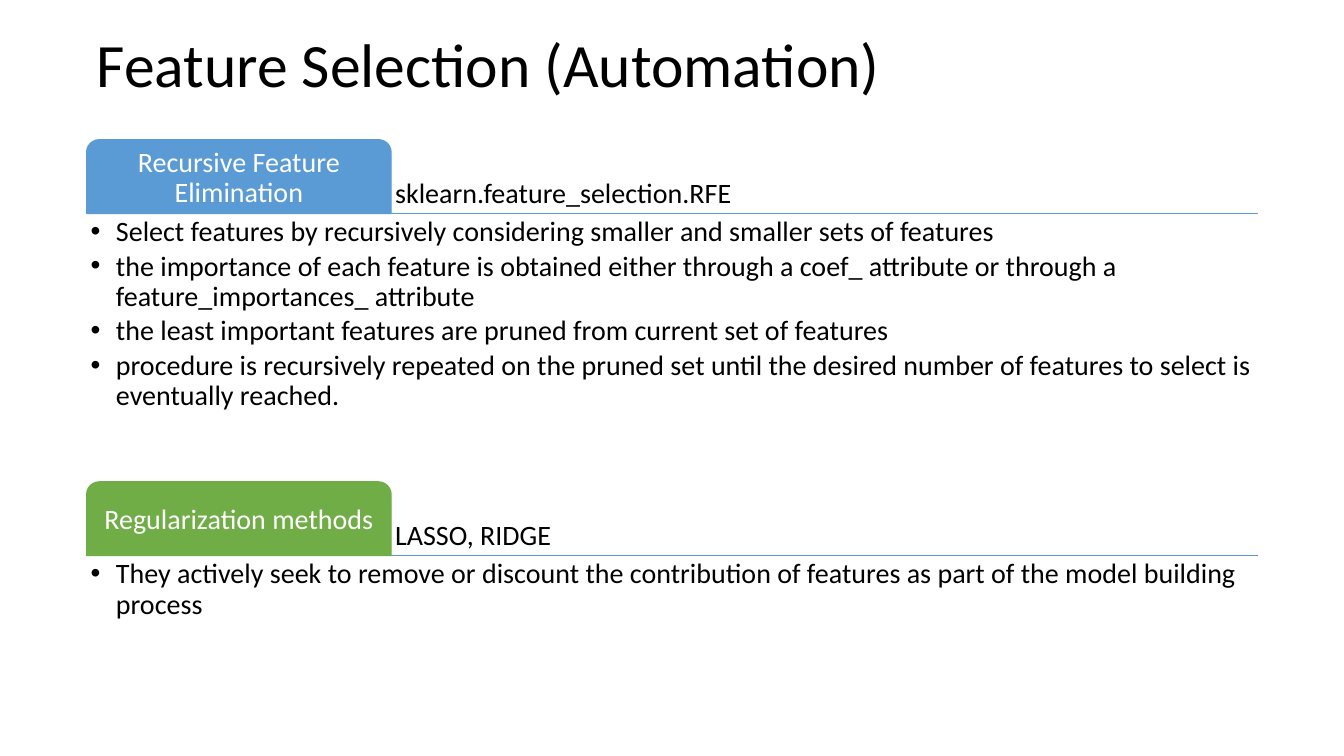
from dataclasses import dataclass

from lxml import etree
from pptx import Presentation
from pptx import util as u
from pptx.dml.color import RGBColor
from pptx.enum import shapes, text
from pptx.oxml import ns

BLACK = RGBColor(0x00, 0x00, 0x00)
WHITE = RGBColor(0xFF, 0xFF, 0xFF)
BLUE = RGBColor(0x5B, 0x9B, 0xD5)
GREEN = RGBColor(0x70, 0xAD, 0x47)

# Grid: 31 columns across the slide, one row per tab height
COLUMN = 0.43
ROW = 0.73
MARGIN = 2
TAB_COLUMNS = 7.02
BAND_COLUMNS = 27.02


@dataclass
class Method:
    name: str
    example: str
    points: list[str]
    top: float
    body_rows: float
    color: RGBColor


METHODS = [
    Method(
        "Recursive Feature Elimination",
        "sklearn.feature_selection.RFE",
        [
            "Select features by recursively considering smaller and smaller sets of features",
            "the importance of each feature is obtained either through a coef_ attribute"
            " or through a feature_importances_ attribute",
            "the least important features are pruned from current set of features",
            "procedure is recursively repeated on the pruned set until the desired number"
            " of features to select is eventually reached.",
        ],
        top=1.9, body_rows=3.59, color=BLUE,
    ),
    Method(
        "Regularization methods",
        "LASSO, RIDGE",
        ["They actively seek to remove or discount the contribution of features"
         " as part of the model building process"],
        top=6.55, body_rows=2, color=GREEN,
    ),
]


def cols(count: float) -> int:
    return u.Inches(count * COLUMN)


def rows(count: float) -> int:
    return u.Inches(count * ROW)


def write(frame, lines: list[str], anchor, size: int = 20, color: RGBColor = BLACK,
          align=text.PP_ALIGN.LEFT, after: int = 0, inset: float = 0.04,
          bulleted: bool = False) -> None:
    frame.word_wrap = True
    frame.vertical_anchor = anchor
    frame.margin_left = frame.margin_right = u.Inches(inset)
    frame.margin_top = frame.margin_bottom = u.Inches(0.04)
    frame.text = "\n".join(lines)
    for paragraph in frame.paragraphs:
        paragraph.alignment = align
        paragraph.line_spacing = 0.9
        paragraph.space_after = u.Pt(after)
        for run in paragraph.runs:
            run.font.name = "Calibri"
            run.font.size = u.Pt(size)
            run.font.color.rgb = color
        if bulleted:
            properties = paragraph._p.get_or_add_pPr()
            properties.set("marL", str(u.Inches(0.25)))
            properties.set("indent", str(-u.Inches(0.25)))
            font = etree.SubElement(properties, ns.qn("a:buFont"))
            font.set("typeface", "Arial")
            etree.SubElement(properties, ns.qn("a:buChar")).set("char", "•")


def draw_method(slide, method: Method) -> None:
    base = method.top + 1

    # Rule under the heading
    rule = slide.shapes.add_connector(
        shapes.MSO_CONNECTOR.STRAIGHT,
        cols(MARGIN), rows(base), cols(MARGIN + BAND_COLUMNS), rows(base))
    rule.line.color.rgb = BLUE
    rule.line.width = u.Pt(1)
    etree.SubElement(rule._element.spPr, ns.qn("a:effectLst"))

    # Tab with the method's name
    tab = slide.shapes.add_shape(
        shapes.MSO_SHAPE.ROUND_2_SAME_RECTANGLE,
        cols(MARGIN), rows(method.top), cols(TAB_COLUMNS), rows(1))
    tab.adjustments[0] = 0.17
    tab.adjustments[1] = 0
    tab.shadow.inherit = False
    tab.fill.solid()
    tab.fill.fore_color.rgb = method.color
    tab.line.color.rgb = method.color
    tab.line.width = u.Pt(1)
    write(tab.text_frame, [method.name], text.MSO_ANCHOR.MIDDLE,
          color=WHITE, align=text.PP_ALIGN.CENTER)

    # Example beside the tab
    example = slide.shapes.add_textbox(
        cols(MARGIN + TAB_COLUMNS), rows(method.top),
        cols(BAND_COLUMNS - TAB_COLUMNS), rows(1))
    write(example.text_frame, [method.example], text.MSO_ANCHOR.BOTTOM)

    # Bulleted explanation
    points = slide.shapes.add_textbox(
        cols(MARGIN), rows(base), cols(BAND_COLUMNS), rows(method.body_rows))
    write(points.text_frame, method.points, text.MSO_ANCHOR.TOP,
          after=3, bulleted=True)


def main() -> None:
    deck = Presentation()
    deck.slide_width = u.Inches(13.33)
    deck.slide_height = u.Inches(7.5)
    slide = deck.slides.add_slide(deck.slide_layouts[6])

    # Title
    title = slide.shapes.add_textbox(cols(MARGIN), rows(0.22), cols(26.74), rows(1.41))
    write(title.text_frame, ["Feature Selection (Automation)"],
          text.MSO_ANCHOR.MIDDLE, size=44, inset=0.1)

    # Methods
    for method in METHODS:
        draw_method(slide, method)

    deck.save("out.pptx")


if __name__ == "__main__":
    main()
